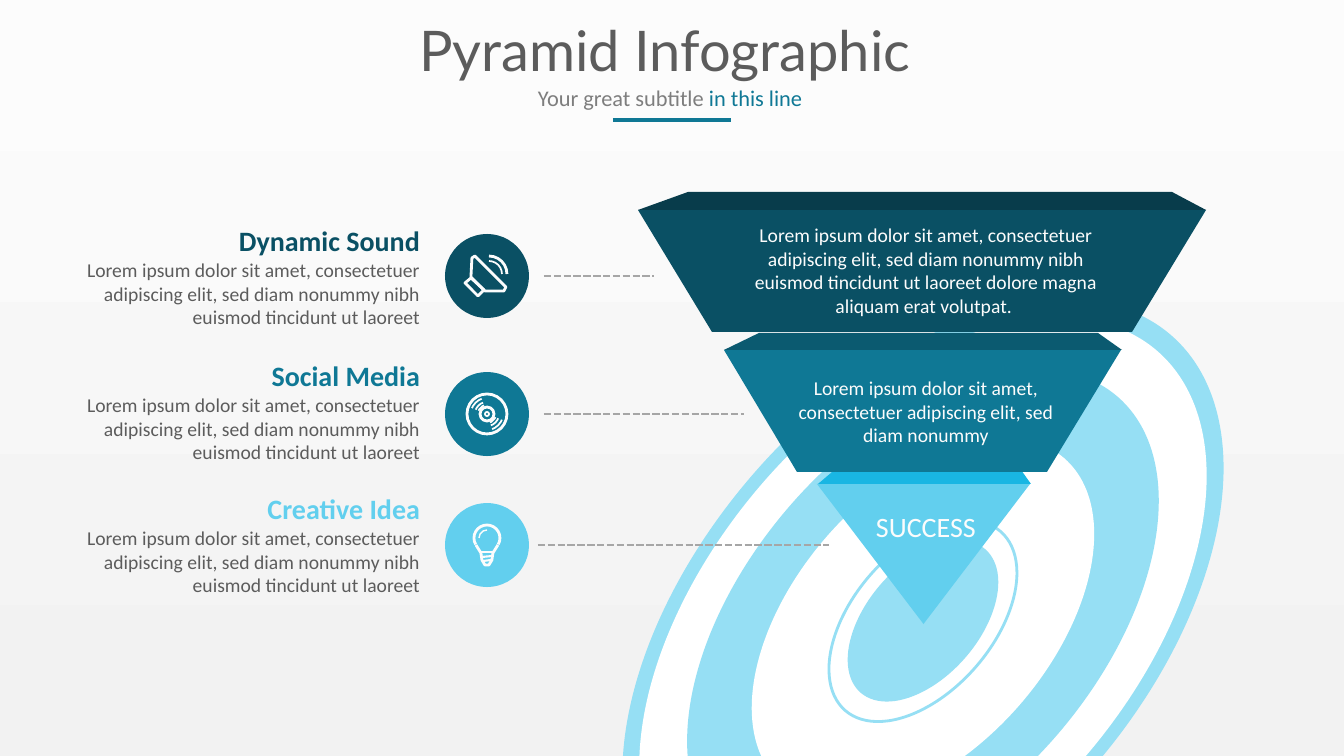
import pptx
import pptx.util
import pptx.dml.color
import pptx.enum.dml
import pptx.enum.shapes
import pptx.enum.text
import pptx.oxml

PX = 914400 / 100.8
SHAPE = pptx.enum.shapes.MSO_SHAPE
ALIGN = pptx.enum.text.PP_ALIGN

DARK, TEAL, SKY = "0A5064", "0F7895", "62CFEE"
PALE, WHITE, LIGHT = "96DFF4", "FFFFFF", "FCFCFC"
GREY, MID_GREY, DASH_GREY = "5C5C5C", "7E7E7E", "A6A6A6"

LOREM = "Lorem ipsum dolor sit amet, consectetuer adipiscing elit, sed diam nonummy"
LOREM_LONG = LOREM + " nibh euismod tincidunt ut laoreet"

TARGET_CENTRE = (923, 621)
TARGET_TILT = 311
TARGET_RINGS = [
    (757, 449, PALE, None),
    (715, 423, WHITE, None),
    (594, 352, PALE, None),
    (431, 256, WHITE, None),
    (237, 140, WHITE, PALE),
    (190, 112, PALE, None),
]

TIP_BOX = (817, 484, 213, 140)
PYRAMID_FACES = [
    ("19B6E3", [(838, 467), (1019, 467), (1031, 484), (818, 484)]),
    (TEAL, [(724, 350), (1121, 350), (1047, 472), (797, 472)]),
    (DARK, [(638, 210), (1206, 210), (1132, 332), (712, 332)]),
    ("0B5A70", [(759, 333), (1098, 333), (1122, 350), (724, 350)]),
    ("083C4B", [(688, 192), (1172, 192), (1206, 210), (638, 210)]),
]
PYRAMID_TEXTS = [
    ((722, 218, 408, 105), LOREM_LONG + " dolore magna aliquam erat volutpat. ", 14, True),
    ((770, 371, 312, 82), LOREM, 14, True),
    ((866, 505, 121, 44), "SUCCESS", 20, False),
]

DISH_ICON = {
    "arcs": [(2, -2, 18, 270, 0, 2), (2, -2, 13, 270, 0, 1.25)],
    "outlines": [
        (True, 2, [(-15, -18), (-12, -20), (19, 11), (17, 15), (-2, 15), (-16, 1)]),
        (True, 2, [(-16, 2), (-22, 7), (-9, 20), (-3, 14)]),
    ],
}
DISC_ICON = {
    "rings": [(20, 2), (7, 2), (2, 1.25)],
    "arcs": [(0, 0, r, start, start + 50, 1.25) for r in (9, 12, 16) for start in (21, 201)],
}
BULB_ICON = {
    "arcs": [(0, -7, 13, 150, 30, 2), (0, -7, 8, 180, 270, 1)],
    "outlines": [
        (False, 2, [(-11, 0), (-6, 8), (-5, 15), (-2, 20), (2, 20), (5, 15), (6, 8), (11, 0)]),
        (False, 2, [(-6, 7), (6, 7)]),
        (False, 1.5, [(-5, 12), (5, 11)]),
        (False, 1.5, [(-4, 16), (4, 15)]),
    ],
}

ICON_X, ICON_RADIUS = 487, 42
TEXT_RIGHT, BODY_WIDTH = 430, 408
ROWS = [
    ("Dynamic Sound", DARK, 203, 219, 276, (544, 654), DISH_ICON),
    ("Social Media", TEAL, 171, 354, 414, (544, 744), DISC_ICON),
    ("Creative Idea", SKY, 175, 487, 545, (538, 829), BULB_ICON),
]


def emu(n):
    return round(n * PX)


def rgb(value):
    return pptx.dml.color.RGBColor.from_string(value)


def style(sp, fill=None, line=None, width=1):
    sp.shadow.inherit = False
    if fill:
        sp.fill.solid()
        sp.fill.fore_color.rgb = rgb(fill)
    else:
        sp.fill.background()
    if line:
        sp.line.color.rgb = rgb(line)
        sp.line.width = pptx.util.Pt(width)
    else:
        sp.line.fill.background()
    return sp


def add_preset(kind, box, **fmt):
    return style(slide.shapes.add_shape(kind, *map(emu, box)), **fmt)


def add_centred(kind, x, y, w, h, **fmt):
    return add_preset(kind, (x - w / 2, y - h / 2, w, h), **fmt)


def add_outline(points, close=True, **fmt):
    pts = [(emu(x), emu(y)) for x, y in points]
    builder = slide.shapes.build_freeform(*pts[0], scale=1.0)
    builder.add_line_segments(pts[1:], close=close)
    return style(builder.convert_to_shape(), **fmt)


def add_line(x1, x2, y, color, width, dashed=False):
    c = slide.shapes.add_connector(
        pptx.enum.shapes.MSO_CONNECTOR.STRAIGHT, emu(x1), emu(y), emu(x2), emu(y))
    c.line.color.rgb = rgb(color)
    c.line.width = pptx.util.Pt(width)
    if dashed:
        c.line.dash_style = pptx.enum.dml.MSO_LINE.SQUARE_DOT
    c._element.spPr.append(pptx.oxml.parse_xml(
        '<a:effectLst xmlns:a="http://schemas.openxmlformats.org/drawingml/2006/main"/>'))


def add_text(box, runs, size=14, font="Calibri", color=GREY, bold=False,
             align=ALIGN.LEFT, wrap=True, grow=True, spacing=None):
    tf = slide.shapes.add_textbox(*map(emu, box)).text_frame
    tf.word_wrap = wrap
    if grow:
        tf.auto_size = pptx.enum.text.MSO_AUTO_SIZE.SHAPE_TO_FIT_TEXT
    else:
        tf.vertical_anchor = pptx.enum.text.MSO_ANCHOR.MIDDLE
    p = tf.paragraphs[0]
    p.alignment = align
    if spacing:
        p.line_spacing = spacing
    for text, run_color in ([(runs, color)] if isinstance(runs, str) else runs):
        r = p.add_run()
        r.text = text
        r.font.name = font
        r.font.size = pptx.util.Pt(size)
        r.font.bold = bold
        r.font.color.rgb = rgb(run_color)


def add_icon(icon, x, y):
    for radius, width in icon.get("rings", []):
        add_centred(SHAPE.OVAL, x, y, 2 * radius, 2 * radius, line=LIGHT, width=width)
    for dx, dy, radius, start, end, width in icon["arcs"]:
        arc = add_centred(SHAPE.ARC, x + dx, y + dy, 2 * radius, 2 * radius,
                          line=LIGHT, width=width)
        arc.adjustments[0] = start * 0.6
        arc.adjustments[1] = end * 0.6
    for close, width, points in icon.get("outlines", []):
        add_outline([(x + dx, y + dy) for dx, dy in points], close, line=LIGHT, width=width)


prs = pptx.Presentation()
prs.slide_width, prs.slide_height = emu(1344), emu(756)
slide = prs.slides.add_slide(prs.slide_layouts[6])

bg = slide.background.fill
bg.gradient()
bg.gradient_angle = 90
for stop, color in zip(bg.gradient_stops, ("F2F2F2", LIGHT)):
    stop.color.rgb = rgb(color)

add_text((203, 0, 938, 107), "Pyramid Infographic ", size=40, font="Lato",
         align=ALIGN.CENTER, grow=False, spacing=0.9)
add_text((528, 79, 287, 37), [("Your great subtitle ", MID_GREY), ("in this line", TEAL)],
         size=16, wrap=False)
add_line(613, 731, 120, TEAL, 3.25)

for w, h, fill, line in TARGET_RINGS:
    ring = add_centred(SHAPE.OVAL, *TARGET_CENTRE, w, h, fill=fill, line=line, width=2)
    ring.rotation = TARGET_TILT

add_preset(SHAPE.ISOSCELES_TRIANGLE, TIP_BOX, fill=SKY).rotation = 180
for fill, points in PYRAMID_FACES:
    add_outline(points, fill=fill)
for box, text, size, wrap in PYRAMID_TEXTS:
    add_text(box, text, size=size, color=LIGHT, wrap=wrap,
             align=ALIGN.CENTER if wrap else ALIGN.LEFT)

for heading, color, width, top, y, (x1, x2), icon in ROWS:
    add_line(x1, x2, y, DASH_GREY, 1.75, dashed=True)
    add_centred(SHAPE.OVAL, ICON_X, y, 2 * ICON_RADIUS, 2 * ICON_RADIUS, fill=color)
    add_icon(icon, ICON_X, y)
    add_text((TEXT_RIGHT - width, top, width, 44), heading, size=20, color=color,
             bold=True, align=ALIGN.RIGHT, wrap=False)
    add_text((TEXT_RIGHT - BODY_WIDTH, top + 34, BODY_WIDTH, 82), LOREM_LONG,
             align=ALIGN.RIGHT)

prs.save("out.pptx")
